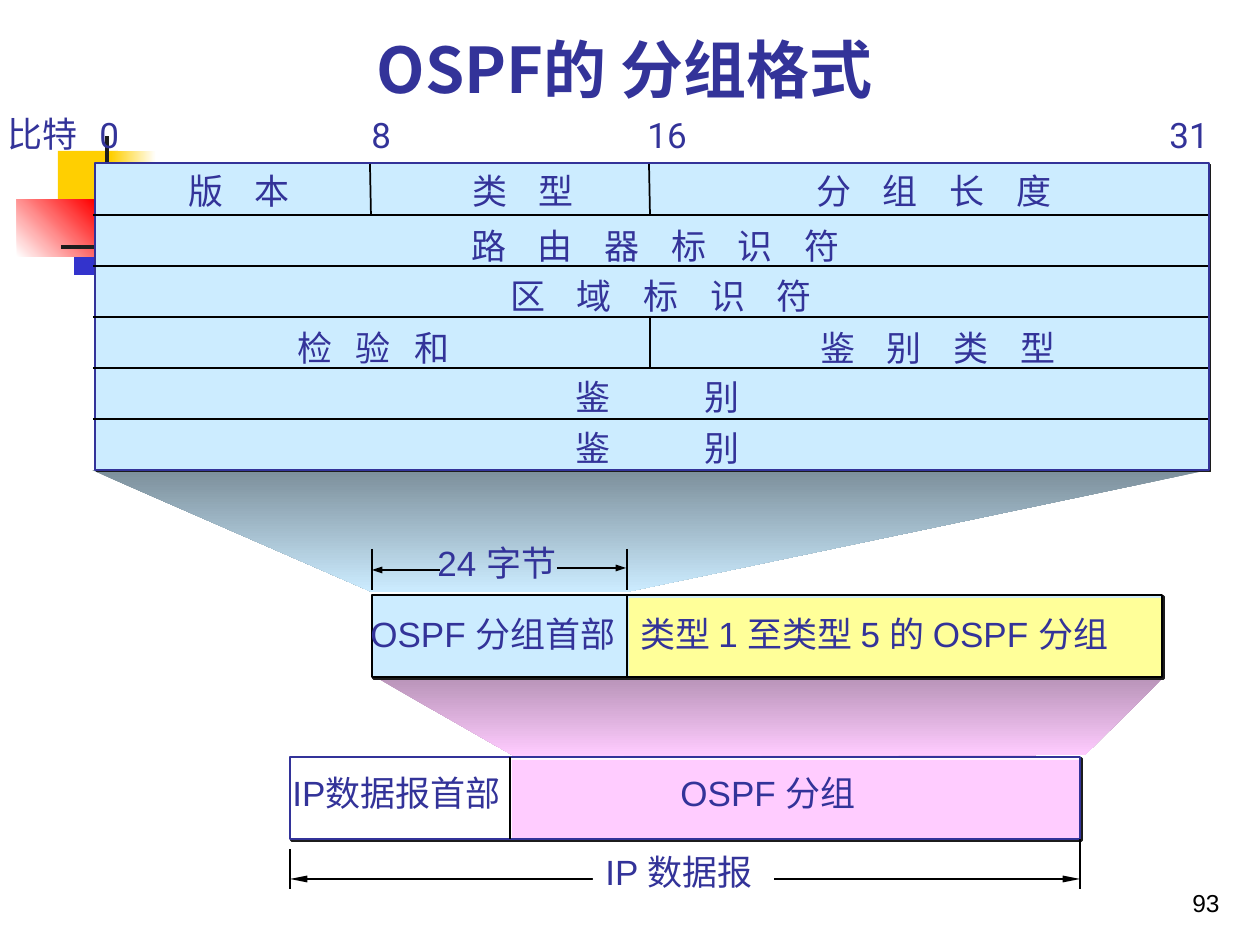
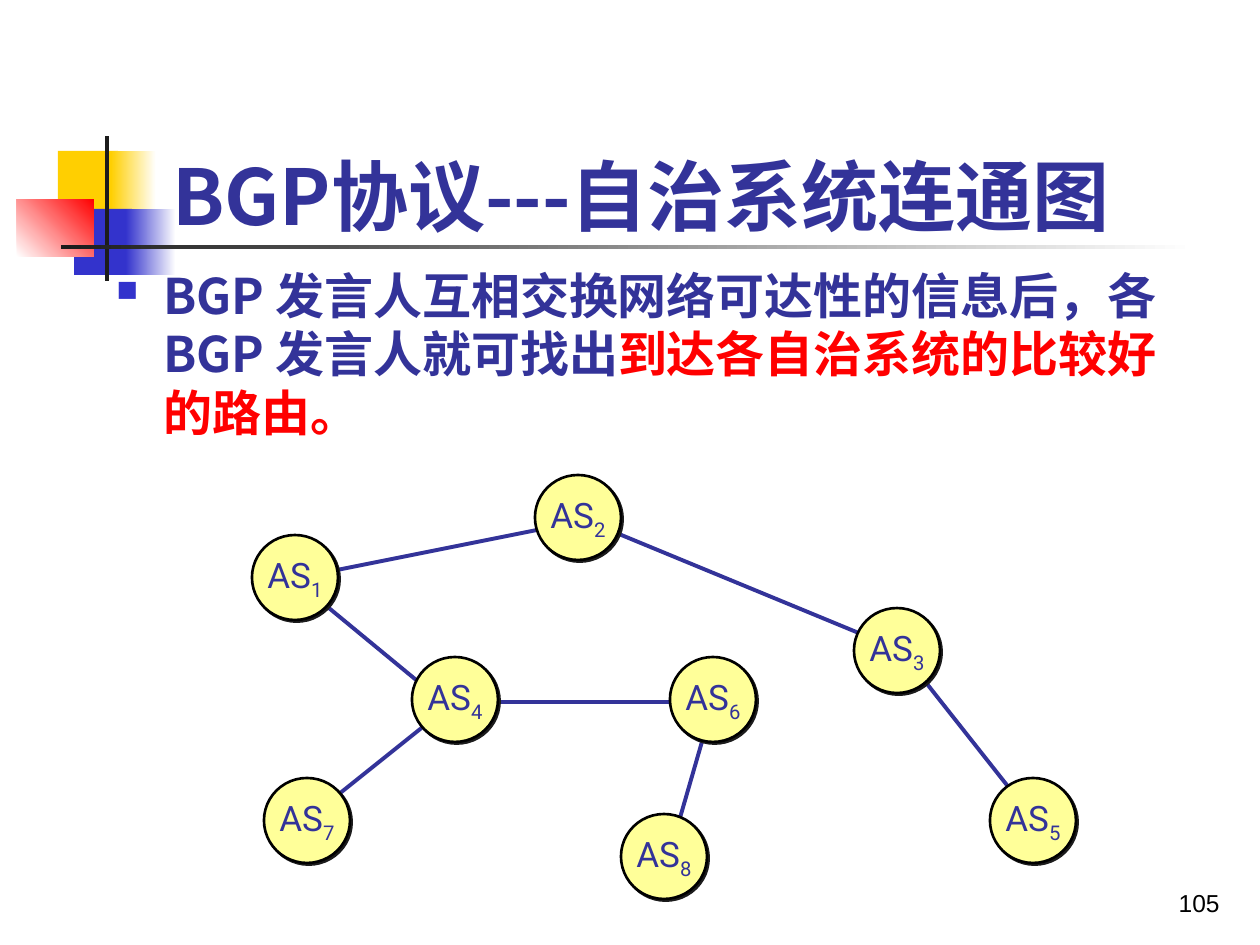
from lxml import etree
from pptx import Presentation
from pptx.dml.color import RGBColor
from pptx.enum.shapes import MSO_CONNECTOR, MSO_SHAPE
from pptx.enum.text import MSO_ANCHOR, MSO_AUTO_SIZE, PP_ALIGN
from pptx.oxml.ns import qn
from pptx.util import Pt

RECTANGLE, OVAL = MSO_SHAPE.RECTANGLE, MSO_SHAPE.OVAL
STRAIGHT = MSO_CONNECTOR.STRAIGHT
LEFT, CENTER, RIGHT = PP_ALIGN.LEFT, PP_ALIGN.CENTER, PP_ALIGN.RIGHT
MIDDLE, BOTTOM = MSO_ANCHOR.MIDDLE, MSO_ANCHOR.BOTTOM
NO_AUTOFIT = MSO_AUTO_SIZE.NONE
TITLE_ONLY = 5

EMU_PER_PX = 914400 / 126
NAVY, BLACK, WHITE, RED = "333399", "000000", "FFFFFF", "FF0000"
GOLD, BLUE, CHARCOAL = "FFCF01", "3333CC", "1C1C1C"
SKY, YELLOW, PINK = "CCECFF", "FFFF99", "FFCCFF"
TITLE_FONT, BODY_FONT, LABEL_FONT = "Noto Sans CJK JP", "Roboto", "Arial"

BLUE_FADE = ((126, 209, 50, 66), (BLUE, WHITE), 0)
MOSAIC = [
    ((58, 151, 60, 66), (GOLD,), 0),
    ((111, 151, 45, 66), (GOLD, WHITE), 0),
    ((74, 209, 58, 66), (BLUE,), 0),
    BLUE_FADE,
    ((17, 199, 77, 58), (WHITE, RED), 45),
    ((105, 136, 4, 145), (CHARCOAL,), 0),
    ((61, 245, 1134, 4), (CHARCOAL, WHITE), 0),
]
BIT_MARKS = [("比特", -5, 106, 96), ("0", 87, 107, 45), ("8", 359, 107, 45),
             ("16", 635, 107, 66), ("31", 1157, 107, 66)]
HEADER_FIELDS = [
    ("版本", 176, 163, 126, 18),
    ("类型", 460, 163, 126, 18),
    ("分组长度", 804, 163, 260, 18),
    ("路由器标识符", 459, 218, 393, 18),
    ("区域标识符", 498, 268, 326, 18),
    ("检验和", 285, 320, 178, 13.5),
    ("鉴别类型", 808, 320, 260, 18),
    ("鉴别", 563, 369, 189, 54),
    ("鉴别", 563, 420, 189, 54),
]
SYSTEMS = {1: (252, 535), 2: (535, 475), 3: (854, 608), 4: (412, 657),
           5: (990, 778), 6: (670, 657), 7: (264, 778), 8: (621, 814)}
LINKS = [(307, 576, 572, 523), (585, 520, 895, 648), (905, 656, 1040, 827),
         (301, 585, 461, 717), (464, 702, 701, 702), (712, 707, 669, 856),
         (314, 814, 449, 706)]


def px(*lengths):
    """Turn pixel lengths into EMU."""
    return [round(length * EMU_PER_PX) for length in lengths]


def rgb(color):
    """Turn a hex string into a colour."""
    return RGBColor.from_string(color)


def paint(shape, colors, angle=0, line=None, width=0.75):
    """Give a shape a plain or two-colour fill, an optional line and no shadow."""
    shape.shadow.inherit = False
    if len(colors) == 1:
        shape.fill.solid()
        shape.fill.fore_color.rgb = rgb(colors[0])
    else:
        shape.fill.gradient()
        shape.fill.gradient_angle = angle
        for stop, color in zip(shape.fill.gradient_stops, colors):
            stop.color.rgb = rgb(color)
    if line:
        shape.line.color.rgb = rgb(line)
        shape.line.width = Pt(width)
    else:
        shape.line.fill.background()


def add_block(page, bounds, *colors, kind=RECTANGLE, **style):
    """Add a painted preset shape."""
    shape = page.shapes.add_shape(kind, *px(*bounds))
    paint(shape, colors, **style)
    return shape


def add_shadowed(page, bounds, color, line, width, kind=RECTANGLE):
    """Add an outlined shape with a hard shadow to the lower right."""
    shape = add_block(page, bounds, color, kind=kind, line=line, width=width)
    effects = shape.element.spPr.find(qn("a:effectLst"))
    shadow = etree.SubElement(effects, qn("a:outerShdw"), dist="17780", dir="2700000",
                              algn="ctr", rotWithShape="0")
    etree.SubElement(shadow, qn("a:srgbClr"), val=CHARCOAL)
    return shape


def add_funnel(page, points, *colors):
    """Add an outline that widens upwards, shaded from top to bottom."""
    builder = page.shapes.build_freeform(*points[0], scale=EMU_PER_PX)
    builder.add_line_segments(points[1:], close=True)
    paint(builder.convert_to_shape(), colors, angle=270)


def add_line(page, ends, color=BLACK, width=0.75, arrows=(), arrow_length="med"):
    """Add a straight line with arrowheads at the named ends."""
    line = page.shapes.add_connector(STRAIGHT, *px(*ends))
    line.line.color.rgb = rgb(color)
    line.line.width = Pt(width)
    properties = line.element.spPr
    for end in arrows:
        etree.SubElement(properties.find(qn("a:ln")), qn(f"a:{end}"),
                         type="triangle", w="sm", len=arrow_length)
    etree.SubElement(properties, qn("a:effectLst"))


def format_paragraph(para, font, size, color=NAVY, bold=False, align=LEFT):
    """Set the alignment and font of a whole paragraph."""
    para.alignment = align
    para.font.name = font
    para.font.size = Pt(size)
    para.font.bold = bold
    para.font.color.rgb = rgb(color)


def add_span(para, text, **attributes):
    """Add a run with character attributes such as spc or baseline."""
    span = para.add_run()
    span.text = text
    for name, value in attributes.items():
        span._r.get_or_add_rPr().set(name, str(value))
    return span


def add_label(page, text, left, top, width, spacing=0, font=LABEL_FONT, fill=None):
    """Add a one-line label, with letters set apart by spacing in points."""
    box = page.shapes.add_textbox(*px(left, top, width, 55))
    box.text_frame.word_wrap = False
    box.text_frame.margin_right = 0
    if fill:
        box.fill.solid()
        box.fill.fore_color.rgb = rgb(fill)
    para = box.text_frame.paragraphs[0]
    format_paragraph(para, font, 20)
    if spacing:
        add_span(para, text[:-1], spc=round(spacing * 100))
        add_span(para, text[-1])
    else:
        add_span(para, text)


def add_page(deck, title, bounds, size, number, mosaic):
    """Add a page with its mosaic, page number and title."""
    page = deck.slides.add_slide(deck.slide_layouts[TITLE_ONLY])
    for block, colors, angle in mosaic:
        add_block(page, block, *colors, angle=angle)

    box = page.shapes.add_textbox(*px(970, 861, 262, 63))
    box.text_frame.word_wrap = True
    box.text_frame.vertical_anchor = BOTTOM
    box.text_frame.text = number
    format_paragraph(box.text_frame.paragraphs[0], LABEL_FONT, 14, BLACK, align=RIGHT)

    heading = page.shapes.title
    heading.left, heading.top, heading.width, heading.height = px(*bounds)
    frame = heading.text_frame
    frame.text = title
    frame.auto_size = NO_AUTOFIT
    frame.vertical_anchor = BOTTOM
    format_paragraph(frame.paragraphs[0], TITLE_FONT, size, bold=True, align=CENTER)
    heading.element.getparent().append(heading.element)
    return page


def add_header_table(page):
    """Draw the packet header with its rows, columns and field names."""
    add_shadowed(page, (95, 163, 1114, 307), SKY, NAVY, 0.75)
    for row in range(5):
        y = 215 + 51 * row
        add_line(page, (93, y, 1208, y), width=1)
    for ends in [(370, 164, 371, 215), (649, 164, 650, 215), (650, 316, 650, 368)]:
        add_line(page, ends, width=1)
    for mark in BIT_MARKS:
        add_label(page, *mark, font=BODY_FONT)
    for field in HEADER_FIELDS:
        add_label(page, *field, font=BODY_FONT)


def add_packet(page, left, top, split, colors, line, labels):
    """Draw a packet as a header and a payload, each with a label."""
    head_color, payload_color = colors
    add_shadowed(page, (left, top, 790, 82), head_color, line, 1.5)
    add_block(page, (split + 2, top + 3, left + 787 - split, 78), payload_color)
    add_line(page, (split, top, split, top + 82))
    for text, x, y, width in labels:
        add_label(page, text, x, y, width)


def build_packet_page(deck):
    """Show how the header, the packet and the datagram nest."""
    mosaic = [block for block in MOSAIC if block is not BLUE_FADE]
    page = add_page(deck, "OSPF的 分组格式 ", (95, 16, 1074, 96), 36, "93", mosaic)
    add_line(page, (290, 879, 1080, 879), arrows=("headEnd", "tailEnd"), arrow_length="lg")
    add_label(page, "IP 数据报", 593, 844, 181, fill=WHITE)
    add_funnel(page, [(103, 470), (1208, 470), (626, 592), (372, 592), (92, 470)],
               "7C8F9B", SKY)
    add_funnel(page, [(377, 678), (514, 756), (1085, 755), (1162, 679)], "B994B9", PINK)
    add_packet(page, 290, 757, 510, (WHITE, PINK), NAVY,
               [("IP数据报首部", 280, 765, 242), ("OSPF 分组", 668, 765, 209)])
    add_packet(page, 372, 595, 627, (SKY, YELLOW), BLACK,
               [("OSPF 分组首部", 358, 606, 278),
                ("类型 1 至类型 5 的 OSPF 分组", 628, 606, 543)])
    for x, top, bottom in [(290, 849, 889), (1080, 839, 889), (372, 549, 590), (627, 549, 590)]:
        add_line(page, (x, top, x, bottom))
    add_line(page, (557, 568, 626, 568), arrows=("tailEnd",))
    add_line(page, (440, 570, 372, 570), arrows=("tailEnd",))
    add_label(page, "24 字节", 425, 535, 152)
    add_header_table(page)


def add_bullet(page, bounds, spans):
    """Add a bulleted paragraph made of coloured spans."""
    box = page.shapes.add_textbox(*px(*bounds))
    box.text_frame.word_wrap = True
    para = box.text_frame.paragraphs[0]
    properties = para._p.get_or_add_pPr()
    indent = px(47)[0]
    properties.set("marL", str(indent))
    properties.set("indent", str(-indent))
    color = etree.SubElement(properties, qn("a:buClr"))
    etree.SubElement(color, qn("a:srgbClr"), val=BLUE)
    etree.SubElement(properties, qn("a:buSzPct"), val="60000")
    etree.SubElement(properties, qn("a:buChar"), char="■")
    format_paragraph(para, TITLE_FONT, 28, bold=True)
    for text, span_color in spans:
        add_span(para, text).font.color.rgb = rgb(span_color)


def add_system(page, number, left, top):
    """Add one autonomous system as a numbered circle."""
    circle = add_shadowed(page, (left, top, 86, 85), YELLOW, BLACK, 1.5, OVAL)
    circle.text_frame.word_wrap = False
    circle.text_frame.vertical_anchor = MIDDLE
    para = circle.text_frame.paragraphs[0]
    format_paragraph(para, BODY_FONT, 20, align=CENTER)
    add_span(para, "AS")
    add_span(para, str(number), baseline=-25000)


def build_system_page(deck):
    """Show the graph of connected autonomous systems."""
    page = add_page(deck, "BGP协议---自治系统连通图 ", (113, 45, 1074, 202), 44, "105", MOSAIC)
    add_bullet(page, (104, 259, 1071, 567),
               [("BGP 发言人互相交换网络可达性的信息后，各 BGP 发言人就可找出", NAVY),
                ("到达各自治系统的比较好的路由。", RED)])
    for link in LINKS:
        add_line(page, link, NAVY, 2.25)
    for number, corner in SYSTEMS.items():
        add_system(page, number, *corner)


def main():
    """Build and save the deck."""
    deck = Presentation()
    deck.slide_width, deck.slide_height = px(1260, 945)
    build_packet_page(deck)
    build_system_page(deck)
    deck.save("out.pptx")


if __name__ == "__main__":
    main()
